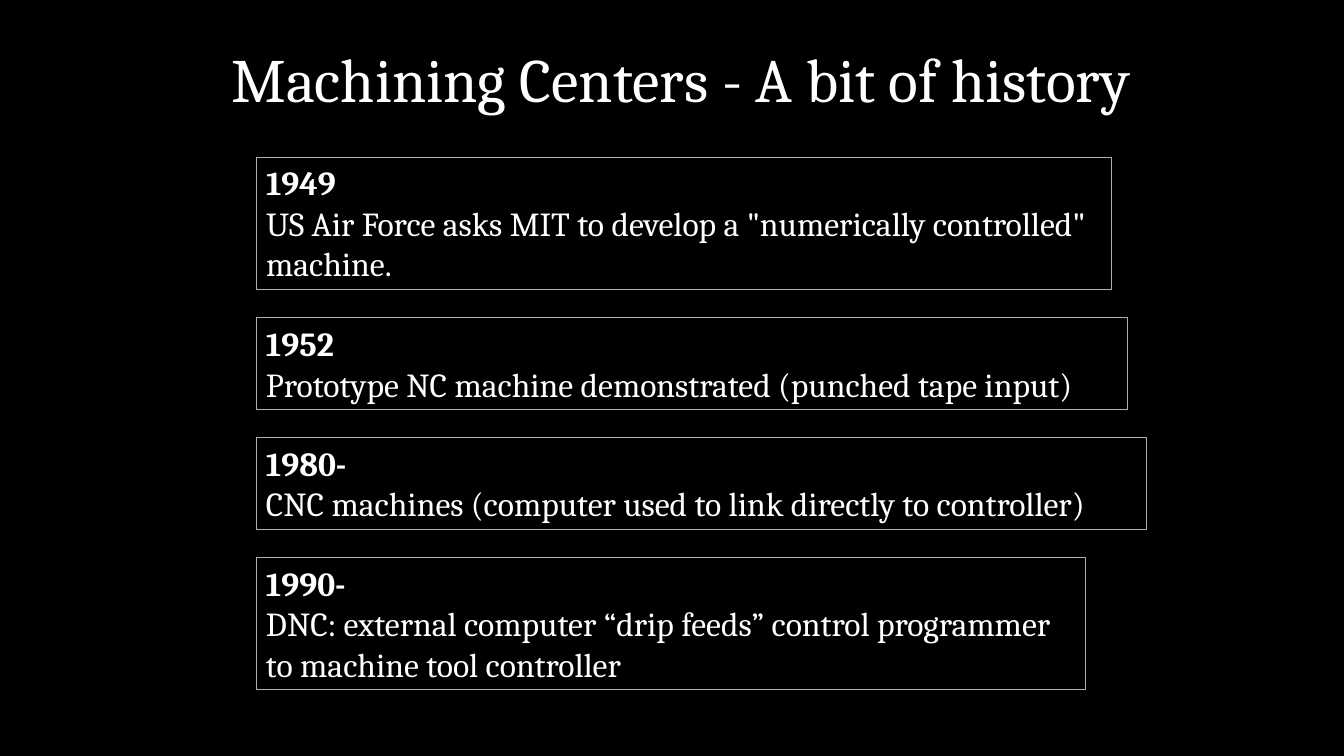
from dataclasses import dataclass

from pptx import Presentation
from pptx.dml.color import RGBColor
from pptx.enum.text import MSO_ANCHOR, MSO_AUTO_SIZE, PP_ALIGN
from pptx.slide import Slide
from pptx.text.text import _Paragraph
from pptx.util import Inches, Pt

TOP = MSO_ANCHOR.TOP
MIDDLE = MSO_ANCHOR.MIDDLE
CENTER = PP_ALIGN.CENTER
GROW = MSO_AUTO_SIZE.SHAPE_TO_FIT_TEXT
NO_FIT = MSO_AUTO_SIZE.NONE
TITLE_ONLY = 5


@dataclass(frozen=True)
class Theme:
    font: str = "Cambria"
    background: RGBColor = RGBColor(0, 0, 0)
    text: RGBColor = RGBColor(255, 255, 255)
    border: RGBColor = RGBColor(0xB2, 0xB2, 0xB2)
    border_width: float = 0.75
    title_size: int = 44
    body_size: int = 24


@dataclass(frozen=True)
class Milestone:
    year: str
    event: str
    width: float
    lines: int
    anchor: MSO_ANCHOR = MIDDLE


THEME = Theme()
LEFT = 2.54
FIRST_TOP = 1.56
GAP = 0.28
LINE_HEIGHT = 0.4
PADDING = 0.11

MILESTONES = [
    Milestone("1949", 'US Air Force asks MIT to develop a "numerically controlled" machine.', 8.48, 3, TOP),
    Milestone("1952", "Prototype NC machine demonstrated (punched tape input)", 8.64, 2),
    Milestone("1980-", "CNC machines (computer used to link directly to controller)", 8.83, 2),
    Milestone(
        "1990-",
        "DNC: external computer “drip feeds” control programmer to machine tool controller",
        8.23,
        3,
    ),
]


def format_runs(para: _Paragraph, size: int, bold: bool = False) -> None:
    for span in para.runs:
        span.font.name = THEME.font
        span.font.size = Pt(size)
        span.font.bold = bold
        span.font.color.rgb = THEME.text


def add_title(page: Slide, text: str) -> None:
    title = page.shapes.title
    title.left, title.top = Inches(0.61), Inches(0.44)
    title.width, title.height = Inches(12.29), Inches(1.25)
    frame = title.text_frame
    frame.text = text
    frame.word_wrap = True
    frame.auto_size = NO_FIT
    frame.vertical_anchor = TOP
    para = frame.paragraphs[0]
    para.alignment = CENTER
    para.line_spacing = 0.9
    para.space_before = Pt(0)
    format_runs(para, THEME.title_size)


def add_milestone(page: Slide, milestone: Milestone, top: float, height: float) -> None:
    box = page.shapes.add_textbox(
        Inches(LEFT), Inches(top), Inches(milestone.width), Inches(height)
    )
    box.line.color.rgb = THEME.border
    box.line.width = Pt(THEME.border_width)
    frame = box.text_frame
    frame.text = f"{milestone.year}\n{milestone.event}"
    frame.word_wrap = True
    frame.auto_size = GROW
    frame.vertical_anchor = milestone.anchor
    year, event = frame.paragraphs
    format_runs(year, THEME.body_size, bold=True)
    format_runs(event, THEME.body_size)


def main() -> None:
    deck = Presentation()
    deck.slide_width, deck.slide_height = Inches(13.33), Inches(7.5)
    page = deck.slides.add_slide(deck.slide_layouts[TITLE_ONLY])
    page.background.fill.solid()
    page.background.fill.fore_color.rgb = THEME.background

    add_title(page, "Machining Centers - A bit of history")
    top = FIRST_TOP
    for milestone in MILESTONES:
        height = milestone.lines * LINE_HEIGHT + PADDING
        add_milestone(page, milestone, top, height)
        top += height + GAP

    deck.save("out.pptx")


if __name__ == "__main__":
    main()
